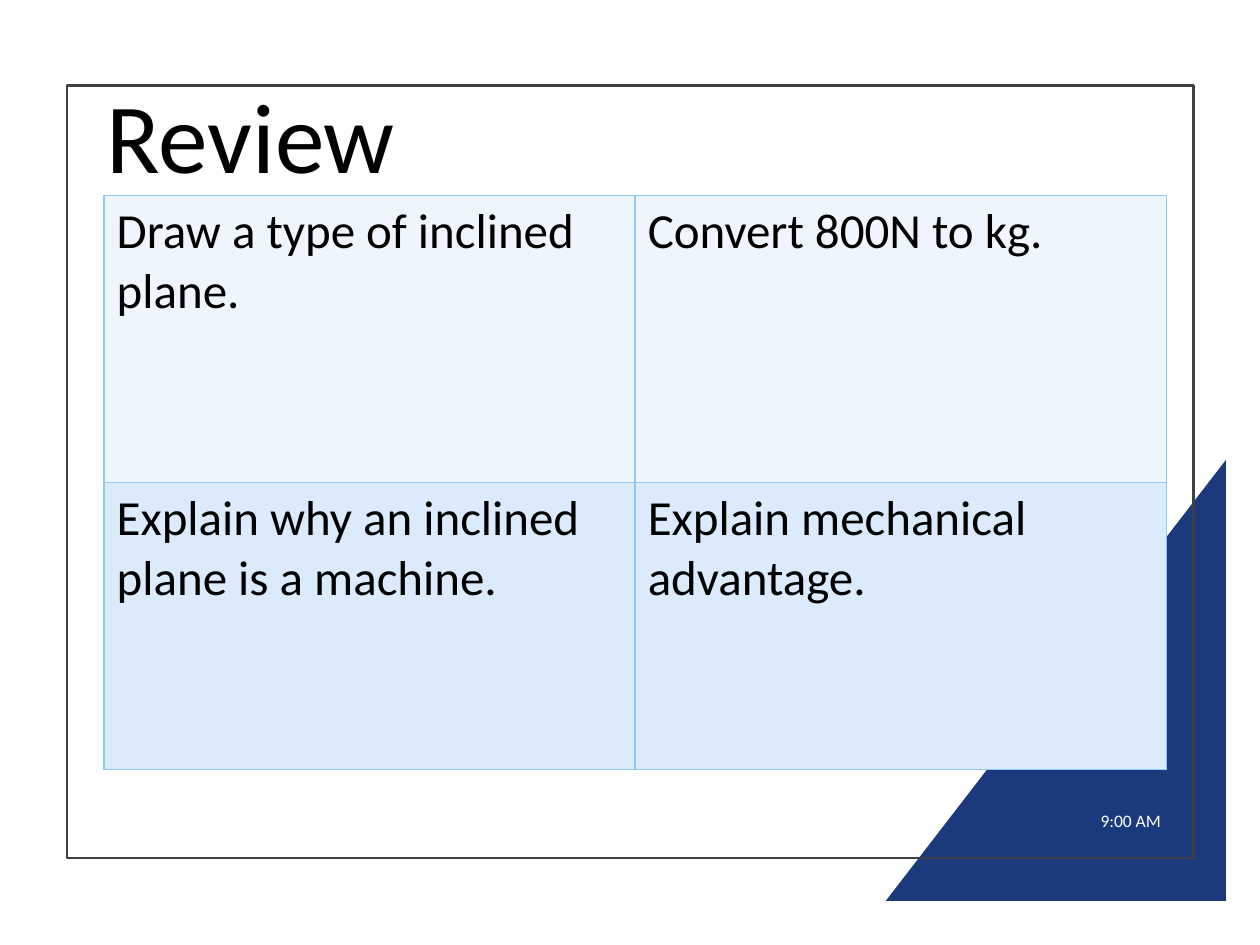
from typing import NamedTuple

from lxml.etree import SubElement
from pptx import Presentation
from pptx.dml.color import RGBColor
from pptx.enum.shapes import MSO_SHAPE as Preset
from pptx.enum.text import MSO_ANCHOR as Anchor, PP_ALIGN as Align
from pptx.oxml.ns import qn
from pptx.util import Pt

NAVY = RGBColor(0x1B, 0x3A, 0x7E)
GRAPHITE = RGBColor(0x40, 0x40, 0x40)
BLACK = RGBColor(0, 0, 0)
WHITE = RGBColor(0xFF, 0xFF, 0xFF)
SKY = RGBColor(0x8F, 0xC9, 0xF4)
ROW_FILLS = (RGBColor(0xEE, 0xF5, 0xFD), RGBColor(0xDB, 0xEB, 0xFB))
FONT = "Calibri"

QUESTIONS = (
    ("Draw a type of inclined plane.", "Convert 800N to kg."),
    ("Explain why an inclined plane is a machine.", "Explain mechanical advantage."),
)


class Area(NamedTuple):
    left: float
    top: float
    width: float
    height: float

    def points(self) -> tuple:
        return tuple(Pt(length) for length in self)


class Label(NamedTuple):
    text: str
    area: Area
    size: float
    color: RGBColor
    align: Align
    line_spacing: float
    space_after: float


LABELS = (
    Label("Review", Area(54, 54, 493.2, 53.3), 56.7, BLACK, Align.LEFT, 0.9, 0),
    Label("9:00 AM", Area(533.5, 454.3, 136.8, 28.8), 10, WHITE, Align.RIGHT, 1, 6),
)


def style_text(paragraph, size: float, color: RGBColor) -> None:
    for span in paragraph.runs:
        span.font.name = FONT
        span.font.size = Pt(size)
        span.font.color.rgb = color


def add_label(page, label: Label) -> None:
    box = page.shapes.add_textbox(*label.area.points())
    frame = box.text_frame
    frame.word_wrap = True
    frame.vertical_anchor = Anchor.MIDDLE
    frame.text = label.text
    paragraph = frame.paragraphs[0]
    paragraph.alignment = label.align
    paragraph.line_spacing = label.line_spacing
    paragraph.space_after = Pt(label.space_after)
    style_text(paragraph, label.size, label.color)


def add_corner(page, area: Area) -> None:
    corner = page.shapes.add_shape(Preset.RIGHT_TRIANGLE, *area.points())
    corner.shadow.inherit = False
    corner.fill.solid()
    corner.fill.fore_color.rgb = NAVY
    corner.line.fill.background()
    corner.element.spPr.find(qn("a:xfrm")).set("flipH", "1")


def add_frame(page, area: Area) -> None:
    border = page.shapes.add_shape(Preset.RECTANGLE, *area.points())
    border.shadow.inherit = False
    border.fill.background()
    border.line.color.rgb = GRAPHITE
    border.line.width = Pt(1.5)


def add_borders(cell, color: RGBColor, width: float) -> None:
    properties = cell._tc.get_or_add_tcPr()
    for side in ("a:lnL", "a:lnR", "a:lnT", "a:lnB"):
        line = SubElement(properties, qn(side), w=str(Pt(width)))
        fill = SubElement(line, qn("a:solidFill"))
        SubElement(fill, qn("a:srgbClr"), val=str(color))


def add_questions(page, area: Area) -> None:
    table = page.shapes.add_table(len(QUESTIONS), len(QUESTIONS[0]), *area.points()).table
    for row, texts in enumerate(QUESTIONS):
        for column, text in enumerate(texts):
            cell = table.cell(row, column)
            add_borders(cell, SKY, 1)
            cell.fill.solid()
            cell.fill.fore_color.rgb = ROW_FILLS[row]
            cell.text_frame.text = text
            paragraph = cell.text_frame.paragraphs[0]
            style_text(paragraph, 28, BLACK)
            for span in paragraph.runs:
                span.font.bold = False


def main() -> None:
    deck = Presentation()
    deck.slide_width, deck.slide_height = Pt(720), Pt(540)
    page = deck.slides.add_slide(deck.slide_layouts[6])
    add_corner(page, Area(506.2, 262.8, 194.4, 252))
    add_frame(page, Area(38.2, 49, 643.7, 441.4))
    for label in LABELS:
        add_label(page, label)
    add_questions(page, Area(59.5, 111.6, 607, 328.3))
    deck.save("out.pptx")


if __name__ == "__main__":
    main()
